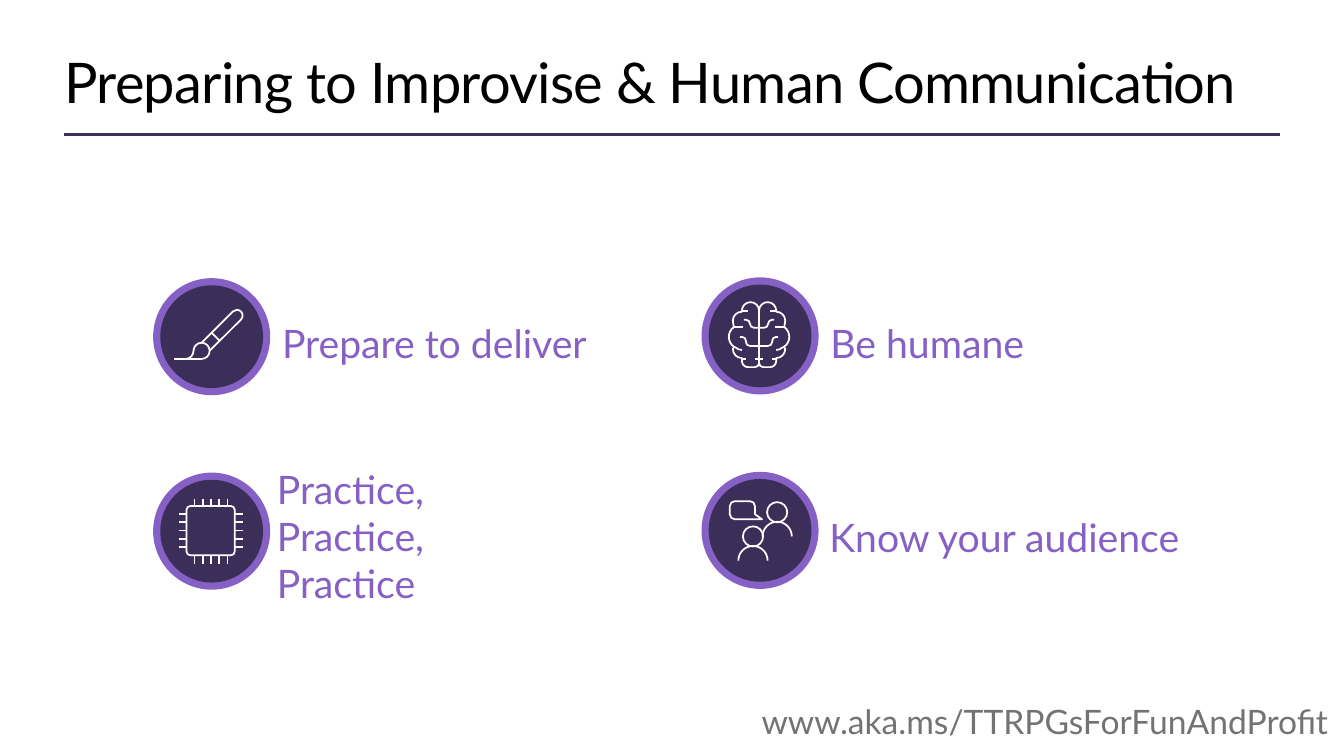
from math import ceil, cos, radians, sin, tan

from lxml.etree import SubElement
from pptx import Presentation
from pptx.dml.color import RGBColor
from pptx.enum.shapes import MSO_CONNECTOR as Connector, MSO_SHAPE as Shape
from pptx.enum.text import MSO_ANCHOR as Anchor, MSO_AUTO_SIZE as AutoSize, PP_ALIGN as Align
from pptx.oxml.ns import qn
from pptx.util import Cm, Pt

FONT = "Lato"
DARK, PURPLE, GREY = "3B2E58", "8661C5", "737373"
BADGE, DISC = 2.95, 2.59      # badge diameters in cm
ICON_UNIT = Cm(0.0254)        # icons are drawn in units around the badge centre
FINE = 100                    # subdivisions of an icon unit


def color(hex_value):
    return RGBColor.from_string(hex_value)


# Text
def fill_text(frame, lines, size, hex_value, anchor=Anchor.MIDDLE, align=Align.LEFT):
    frame.word_wrap = True
    frame.auto_size = AutoSize.NONE
    frame.vertical_anchor = anchor
    frame.margin_left = frame.margin_right = frame.margin_top = frame.margin_bottom = 0
    para = frame.paragraphs[0]
    para.alignment = align
    for index, line in enumerate(lines):
        if index:
            para.add_line_break()
        span = para.add_run()
        span.text = line
        span.font.name = FONT
        span.font.size = Pt(size)
        span.font.color.rgb = color(hex_value)
    return para


def add_text(page, box, lines, size, hex_value, **layout):
    text_box = page.shapes.add_textbox(*(Cm(length) for length in box))
    fill_text(text_box.text_frame, lines, size, hex_value, **layout)


# Icon strokes: a pair is a point, six numbers are a curve (two handles and its end)
def arc(x, y, radius, start, end):
    count = ceil(abs(end - start) / 90)
    step = radians(end - start) / count
    reach = 4 / 3 * tan(step / 4)

    def spot(angle, pull=0):
        return (round(x + radius * (cos(angle) - pull * sin(angle)), 2),
                round(y + radius * (sin(angle) + pull * cos(angle)), 2))

    angles = [radians(start) + step * index for index in range(count + 1)]
    return [spot(angles[0])] + [
        spot(one, reach) + spot(two, -reach) + spot(two) for one, two in zip(angles, angles[1:])]


def brush_strokes():
    bristles = arc(-10, 14, 8, 180, 450) + arc(-26, 14, 8, 90, 0)
    handle = [(-2, 14)] + arc(25, -21, 5.7, 45, -135) + [(-10, 6)]
    return [bristles, handle, [(8, 4), (0, -4)], [(-37, 22), (-26, 22)]]


def chip_strokes():
    left, top, right, bottom, radius = -25, -25, 23, 24, 4
    body = (arc(left + radius, top + radius, radius, 180, 270)
            + arc(right - radius, top + radius, radius, 270, 360)
            + arc(right - radius, bottom - radius, radius, 0, 90)
            + arc(left + radius, bottom - radius, radius, 90, 180))
    strokes = [body + body[:1]]
    for index in range(5):
        place = -17 + 8.2 * index
        strokes += [[(place, top), (place, -32)], [(place, bottom), (place, 33)],
                    [(left, place), (-32, place)], [(right, place), (31, place)]]
    return strokes


def brain_strokes():
    half = [
        # outer folds and midline
        [(17, 23)] + arc(17, 13, 9, 90, 0) + arc(18, 1, 12, 56, -54)
        + arc(17, -15, 9, 0, -90) + arc(8.5, -25, 8.5, 0, -180) + [(0, 23)],
        # inner folds
        [(19, 1)] + arc(17, 5, 4, 270, 180) + arc(9, 6, 4, 0, 90) + [(0, 10)],
        [(15, -16)] + arc(13, -12, 4, 270, 180) + arc(5, -12, 4, 0, 90) + [(0, -8)],
        arc(17, 5, 9, 90, 45) + [(25, 11)],
        [(16, -9), (25, -9)],
        [(11, -25), (17, -25)],
        [(13, 23), (17, 23)],
        [(0, 23), (4, 23)],
        # stem
        [(17, 23)] + arc(11, 25, 6, 0, 90) + arc(4, 27, 4, 90, 180) + [(0, 23)],
    ]

    def mirror(point, side):
        return tuple(value if index % 2 else side * value - 1
                     for index, value in enumerate(point))

    return [[mirror(point, side) for point in stroke] for side in (1, -1) for stroke in half]


def audience_strokes():
    strokes = []
    for x, y in ((-7, 6), (17, -18)):
        strokes += [arc(x, y, 10, 0, 360), arc(x, y + 24, 14.5, 180, 360)]
    bubble = (arc(-25, -24, 5, 180, 270) + arc(-10, -24, 5, 270, 360)
              + [(-5, -16), (2, -11)] + arc(-25, -16, 5, 90, 180))
    return strokes + [bubble + bubble[:1]]


# White line icon centred on a point
def add_icon(group, center_x, center_y, strokes):
    builder = None
    for stroke in strokes:
        ends = [(point[-2] * FINE, point[-1] * FINE) for point in stroke]
        if builder is None:
            builder = group.shapes.build_freeform(*ends[0], scale=ICON_UNIT / FINE)
        else:
            builder.move_to(*ends[0])
        builder.add_line_segments(ends[1:], close=ends[0] == ends[-1])
    icon = builder.convert_to_shape(Cm(center_x), Cm(center_y))

    # Turn the segments that have handles into curves
    origin = [min(point[axis] for stroke in strokes for point in stroke) for axis in (-2, -1)]
    segments = list(icon._element.spPr.iter(qn("a:lnTo")))
    points = [point for stroke in strokes for point in stroke[1:]]
    for segment, point in zip(segments, points):
        if len(point) == 6:
            segment.tag = qn("a:cubicBezTo")
            for place in (0, 1):
                handle = SubElement(segment, qn("a:pt"))
                for axis, name in enumerate("xy"):
                    value = (point[2 * place + axis] - origin[axis]) * FINE
                    handle.set(name, str(round(value)))
                segment.insert(place, handle)

    icon.shadow.inherit = False
    icon.fill.background()
    icon.line.color.rgb = color("FFFFFF")
    icon.line.width = Pt(1.25)


# Round badge with its icon
def add_badge(page, left, top, strokes):
    group = page.shapes.add_group_shape()
    for diameter, hex_value in ((BADGE, PURPLE), (DISC, DARK)):
        inset = (BADGE - diameter) / 2
        disc = group.shapes.add_shape(
            Shape.OVAL, Cm(left + inset), Cm(top + inset), Cm(diameter), Cm(diameter))
        disc.shadow.inherit = False
        disc.fill.solid()
        disc.fill.fore_color.rgb = color(hex_value)
        disc.line.fill.background()
    add_icon(group, left + BADGE / 2, top + BADGE / 2, strokes)


# Title with its rule
def add_heading(page, box, text):
    left, top, width, height = box
    title = page.shapes.title
    title.left, title.top, title.width, title.height = (Cm(length) for length in box)
    para = fill_text(title.text_frame, [text], 40, "000000")
    para.runs[0].font._element.set("spc", "-50")

    rule_y = Cm(top + height - 0.38)
    rule = page.shapes.add_connector(
        Connector.STRAIGHT, Cm(left), rule_y, Cm(left + width - 0.66), rule_y)
    rule.line.color.rgb = color(DARK)
    rule.line.width = Pt(2)
    SubElement(rule._element.spPr, qn("a:effectLst"))


# Two by two grid of tips: badge on the left, label beside it
def add_tips(page, box):
    left, top, width, height = box
    tips = (  # lines, label offset and width, strokes
        (["Prepare to deliver"], 3.25, 0.41, 10.24, brush_strokes()),
        (["Be humane"], 3.25, 0.43, 5.36, brain_strokes()),
        (["Practice,", "Practice,", "Practice"], 3.12, 0.38, 4.9, chip_strokes()),
        (["Know your audience"], 3.22, 0.43, 10.36, audience_strokes()),
    )
    for index, (lines, shift_x, shift_y, label_width, strokes) in enumerate(tips):
        row, column = divmod(index, 2)
        tip_left = left + column * width / 2
        tip_top = top + row * (height - BADGE) - column * 0.02
        add_badge(page, tip_left, tip_top, strokes)
        add_text(page, (tip_left + shift_x, tip_top + shift_y, label_width, 2.44),
                 lines, 28, PURPLE)


def main():
    deck = Presentation()
    deck.slide_width, deck.slide_height = Cm(33.87), Cm(19.05)
    page = deck.slides.add_slide(deck.slide_layouts[5])
    add_heading(page, (1.62, 0.33, 31.29, 3.43), "Preparing to Improvise & Human Communication")
    add_tips(page, (3.86, 7.01, 27.64, 7.85))
    add_text(page, (16.93, 17.66, 16.54, 1.02), ["www.aka.ms/TTRPGsForFunAndProfit"],
             24, GREY, anchor=Anchor.TOP, align=Align.RIGHT)
    deck.save("out.pptx")


if __name__ == "__main__":
    main()
